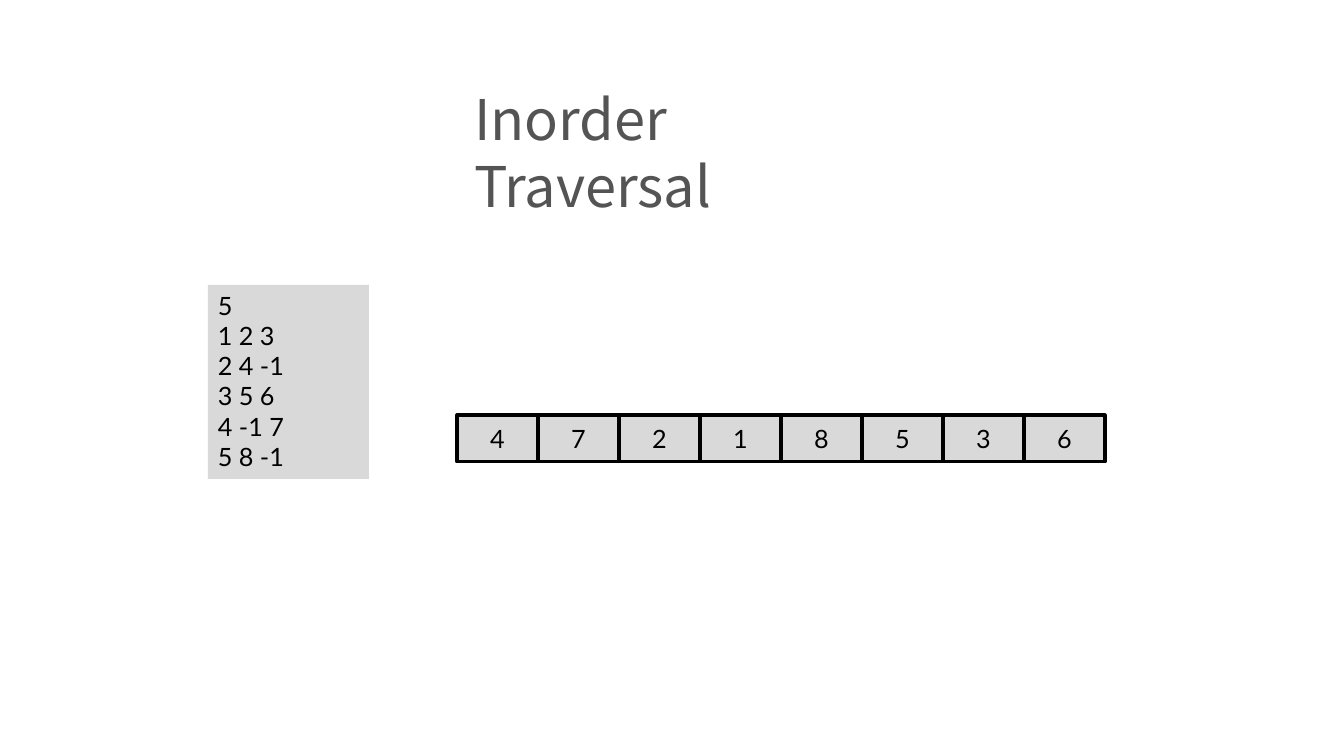
import pptx
import pptx.util
import pptx.dml.color
import pptx.enum.shapes
import pptx.enum.text

COLORS = {"title": "545454", "fill": "D9D9D9", "ink": "000000"}
ALIGN = pptx.enum.text.PP_ALIGN
ANCHOR = pptx.enum.text.MSO_ANCHOR


class Deck:
    scale = 914400 / 100.8

    def __init__(self, width, height):
        self.prs = pptx.Presentation()
        self.prs.slide_width, self.prs.slide_height = self.emu(width, height)
        self.s = self.prs.slides.add_slide(self.prs.slide_layouts[5])

    def emu(self, *pixels):
        return [pptx.util.Emu(round(v * self.scale)) for v in pixels]

    def color(self, name):
        return pptx.dml.color.RGBColor.from_string(COLORS[name])

    def apply(self, target, values):
        for name, value in values.items():
            setattr(target, name, value)

    def fill_text(self, sp, lines, font, size, color, frame, para):
        tf = sp.text_frame
        self.apply(tf, {"word_wrap": True, **frame})
        for i, line in enumerate(lines):
            p = tf.add_paragraph() if i else tf.paragraphs[0]
            self.apply(p, para)
            r = p.add_run()
            r.text = line
            self.apply(r.font, {"name": font, "size": pptx.util.Pt(size)})
            r.font.color.rgb = self.color(color)

    def title(self, box, text):
        sp = self.s.shapes.title
        self.apply(sp, dict(zip(("left", "top", "width", "height"), self.emu(*box))))
        self.fill_text(sp, [text], "Noto Sans CJK KR", 40, "title",
                       {"vertical_anchor": ANCHOR.TOP},
                       {"alignment": ALIGN.LEFT, "line_spacing": pptx.util.Pt(48)})

    def box(self, box, lines, align, anchor, border=0):
        sp = self.s.shapes.add_shape(pptx.enum.shapes.MSO_SHAPE.RECTANGLE, *self.emu(*box))
        sp.shadow.inherit = False
        sp.fill.solid()
        sp.fill.fore_color.rgb = self.color("fill")
        if border:
            sp.line.color.rgb = self.color("ink")
            sp.line.width = pptx.util.Pt(border)
        else:
            sp.line.fill.background()
        self.fill_text(sp, lines, "Lato", 18, "ink",
                       {"vertical_anchor": anchor}, {"alignment": align})


deck = Deck(1344, 756)
deck.title((464, 79, 416, 144), "Inorder Traversal")
deck.box((208, 285, 161, 194),
         ["5", "1 2 3", "2 4 -1", "3 5 6", "4 -1 7", "5 8 -1"],
         ALIGN.LEFT, ANCHOR.TOP)

cell_width = 81
for i, node in enumerate("47218536"):
    deck.box((457 + i * cell_width, 415, cell_width, 47), [node],
             ALIGN.CENTER, ANCHOR.MIDDLE, 2.25)

deck.prs.save("out.pptx")
